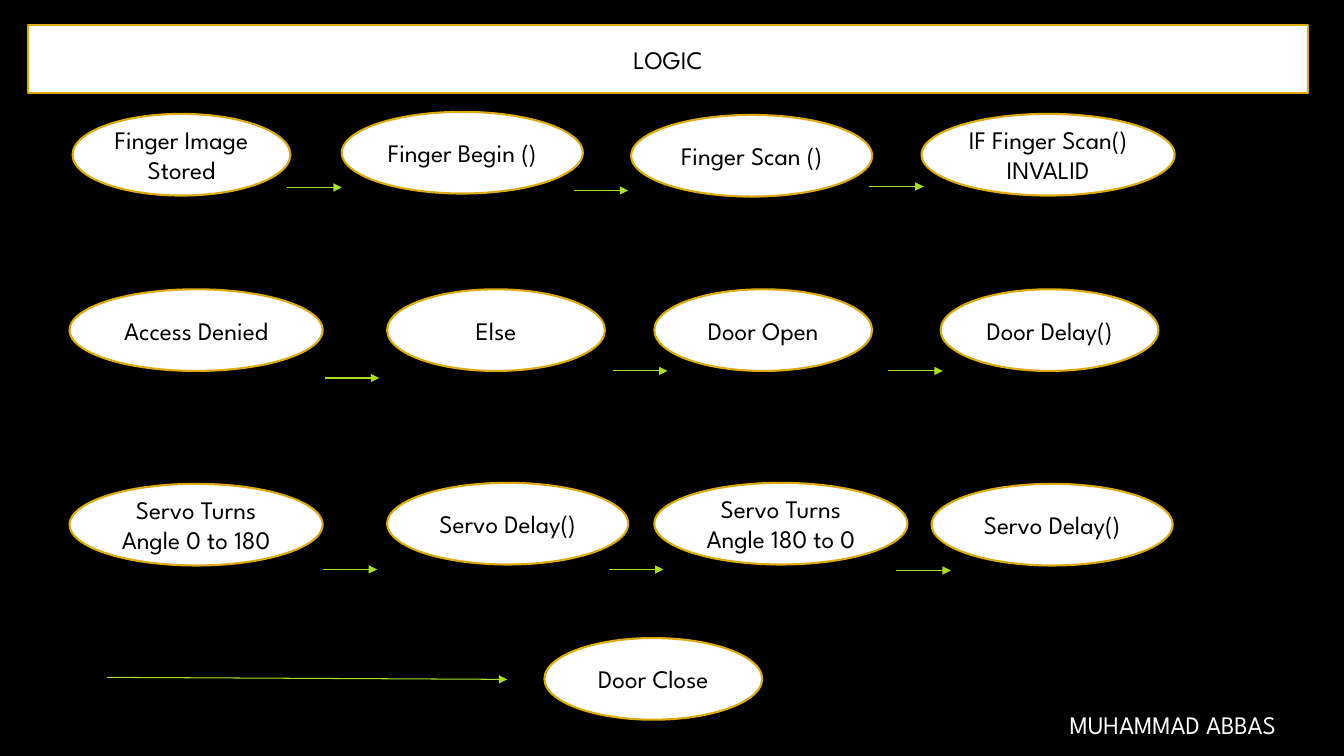
from pptx import Presentation
from pptx.dml.color import RGBColor
from pptx.enum import shapes, text
from pptx.oxml import ns
from pptx.util import Inches, Pt
from lxml import etree

COLORS = {"background": "000000", "panel": "FFFFFF", "gold": "DCAB11",
          "arrow": "A9E023", "dark": "000000", "light": "FFFFFF"}
FONT = "League Spartan"
STEP_HEIGHT = 0.81
ARROW_LENGTH = 0.54


def style_text(shape, content, color, alignment):
    shape.text_frame.word_wrap = True
    shape.text_frame.text = content
    for paragraph in shape.text_frame.paragraphs:
        paragraph.alignment = alignment
        for run in paragraph.runs:
            run.font.name = FONT
            run.font.size = Pt(18)
            run.font.color.rgb = RGBColor.from_string(COLORS[color])


def add_panel(kind, left, top, width, height, content):
    shape = slide.shapes.add_shape(
        kind, Inches(left), Inches(top), Inches(width), Inches(height))
    shape.shadow.inherit = False
    shape.fill.solid()
    shape.fill.fore_color.rgb = RGBColor.from_string(COLORS["panel"])
    shape.line.color.rgb = RGBColor.from_string(COLORS["gold"])
    shape.line.width = Pt(1.5)
    shape.text_frame.vertical_anchor = text.MSO_ANCHOR.MIDDLE
    style_text(shape, content, "dark", text.PP_ALIGN.CENTER)


presentation = Presentation()
presentation.slide_width = Inches(13.33)
presentation.slide_height = Inches(7.5)
slide = presentation.slides.add_slide(presentation.slide_layouts[6])
slide.background.fill.solid()
slide.background.fill.fore_color.rgb = RGBColor.from_string(COLORS["background"])

# Steps of the flow: left, top, width, label
SMALL, MEDIUM, LARGE = 2.16, 2.39, 2.51
steps = [
    (0.72, 1.13, SMALL, "Finger Image Stored"),
    (3.39, 1.11, MEDIUM, "Finger Begin ()"),
    (6.26, 1.14, MEDIUM, "Finger Scan ()"),
    (9.14, 1.13, LARGE, "IF Finger Scan()\nINVALID"),
    (0.69, 2.87, LARGE, "Access Denied"),
    (3.84, 2.87, SMALL, "Else"),
    (6.49, 2.87, SMALL, "Door Open"),
    (9.33, 2.87, SMALL, "Door Delay()"),
    (0.69, 4.8, LARGE, "Servo Turns Angle 0 to 180"),
    (3.84, 4.79, MEDIUM, "Servo Delay()"),
    (6.49, 4.79, LARGE, "Servo Turns Angle 180 to 0"),
    (9.24, 4.8, MEDIUM, "Servo Delay()"),
    (5.4, 6.33, SMALL, "Door Close"),
]
for left, top, width, label in steps:
    add_panel(shapes.MSO_SHAPE.OVAL, left, top, width, STEP_HEIGHT, label)

# Title bar
add_panel(shapes.MSO_SHAPE.RECTANGLE, 0.28, 0.25, 12.69, 0.67, "LOGIC")

# Arrows: short level ones between steps, then the long one to the last step
arrow_starts = [(2.85, 1.86), (5.69, 1.89), (8.62, 1.85),
                (3.22, 3.75), (6.08, 3.68), (8.81, 3.68),
                (3.2, 5.65), (6.04, 5.65), (8.89, 5.66)]
arrows = [(x, y, x + ARROW_LENGTH, y) for x, y in arrow_starts]
arrows.append((1.06, 6.72, 5.03, 6.74))
for ends in arrows:
    arrow = slide.shapes.add_connector(
        shapes.MSO_CONNECTOR.STRAIGHT, *[Inches(value) for value in ends])
    arrow.line.color.rgb = RGBColor.from_string(COLORS["arrow"])
    arrow.line.width = Pt(0.75)
    etree.SubElement(arrow.line._get_or_add_ln(), ns.qn("a:tailEnd"), type="triangle")
    etree.SubElement(arrow._element.spPr, ns.qn("a:effectLst"))

# Author
author = slide.shapes.add_textbox(Inches(10.51), Inches(6.99), Inches(3.24), Inches(0.4))
style_text(author, "MUHAMMAD ABBAS", "light", text.PP_ALIGN.LEFT)

presentation.save("out.pptx")
